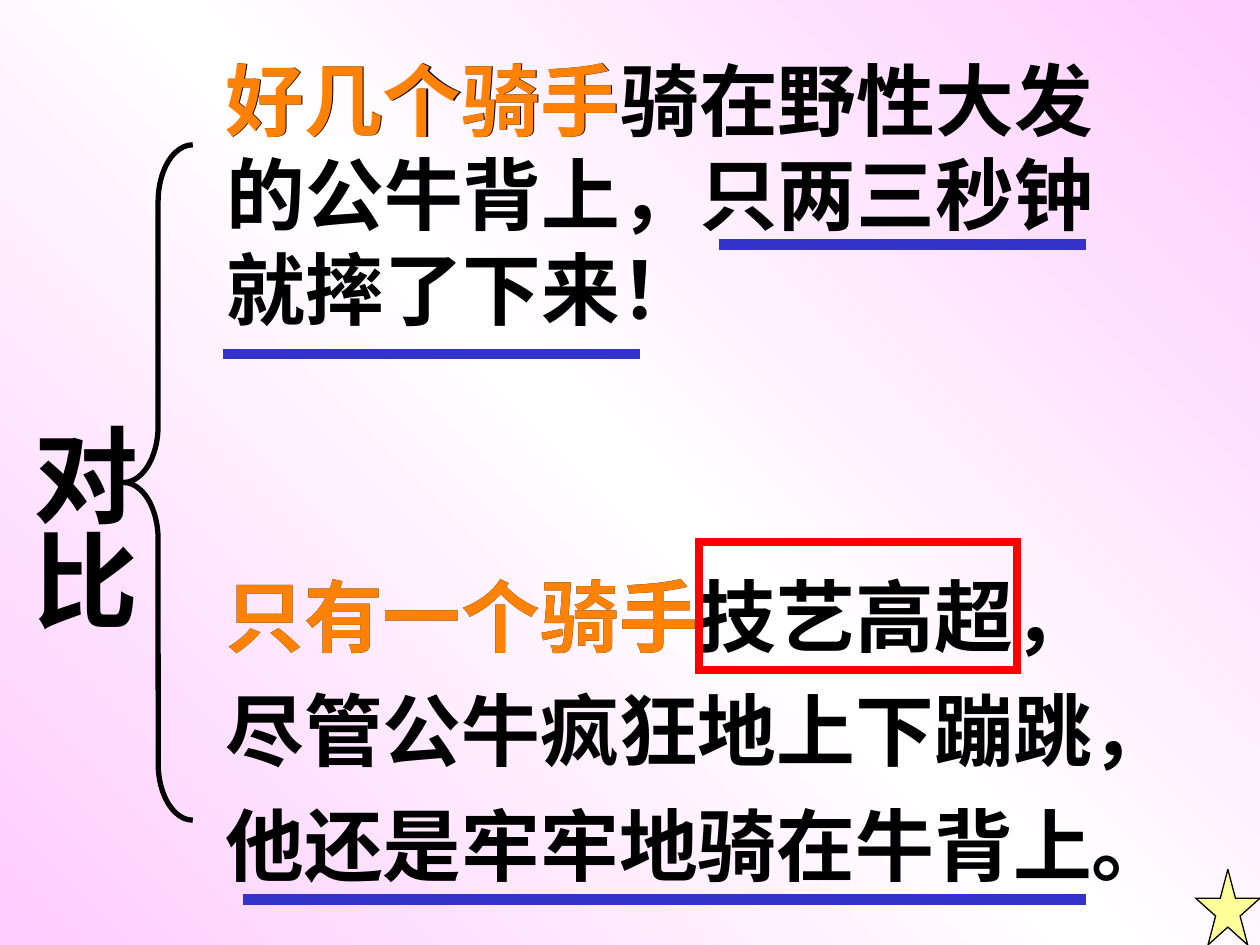
from copy import deepcopy

from lxml.etree import SubElement
from pptx import Presentation
from pptx.dml.color import RGBColor
from pptx.enum.shapes import MSO_CONNECTOR, MSO_SHAPE
from pptx.enum.text import MSO_ANCHOR
from pptx.oxml.ns import qn
from pptx.util import Inches, Pt

CJK_FONT = "Noto Sans CJK SC"
LATIN_FONT = "Times New Roman"
BLACK, ORANGE, BLUE, RED, YELLOW = "000000", "FF8205", "3333CC", "FF0000", "FFFF99"

BACKGROUND_STOPS = [(0, "FFCCFF"), (0.5, "FFFFFF"), (1, "FFCCFF")]
ONE_RIDER = ["只有一个骑手技艺高超，", "尽管公牛疯狂地上下蹦跳，", "他还是牢牢地骑在牛背上。"]
MANY_RIDERS = ["好几个骑手骑在野性大发", "的公牛背上，只两三秒钟", "就摔了下来！"]
PASSAGES = [
    (ONE_RIDER, (1.69, 4.46, 10, 4.5), CJK_FONT, BLACK, 11.2, True, MSO_ANCHOR.TOP),
    (MANY_RIDERS, (1.7, 0.36, 7.07, 2.35), CJK_FONT, BLACK, 0, False, MSO_ANCHOR.MIDDLE),
    (["好几个骑手"], (1.69, 0.36, 4.1, 0.85), LATIN_FONT, ORANGE, 0, True, MSO_ANCHOR.TOP),
    (["只有一个骑手"], (1.69, 4.46, 4.88, 0.85), LATIN_FONT, ORANGE, 0, True, MSO_ANCHOR.TOP),
]
UNDERLINES = [(5.71, 8.62, 1.94), (1.77, 5.08, 2.81), (1.93, 8.62, 7.14)]


def color(value):
    return RGBColor.from_string(value)


def fill_background(slide):
    fill = slide.background.fill
    fill.gradient()
    fill.gradient_angle = 225
    first_stop = slide.background._cSld.find(".//" + qn("a:gs"))
    first_stop.addnext(deepcopy(first_stop))
    for stop, (position, value) in zip(fill.gradient_stops, BACKGROUND_STOPS):
        stop.position = position
        stop.color.rgb = color(value)


def add_text(slide, lines, box, font_name, value, size=45, space=0, wrap=True,
             anchor=MSO_ANCHOR.TOP, insets=(0.1, 0.05, 0, 0.05)):
    shape = slide.shapes.add_textbox(*map(Inches, box))
    frame = shape.text_frame
    frame.word_wrap = wrap
    frame.vertical_anchor = anchor
    frame.margin_left, frame.margin_top, frame.margin_right, frame.margin_bottom = map(Inches, insets)
    for index, line in enumerate(lines):
        paragraph = frame.paragraphs[0] if index == 0 else frame.add_paragraph()
        paragraph.line_spacing = Pt(size * 1.2)
        paragraph.space_before = Pt(space if index else 0)
        run = paragraph.add_run()
        run.text = line
        run.font.size = Pt(size)
        run.font.bold = True
        run.font.color.rgb = color(value)
        run.font.name = font_name
        SubElement(run.font._element, qn("a:ea"), typeface=CJK_FONT)
    return shape


def add_outline(slide, kind, box, value, width, fill=None):
    shape = slide.shapes.add_shape(kind, *map(Inches, box))
    shape.shadow.inherit = False
    if fill:
        shape.fill.solid()
        shape.fill.fore_color.rgb = color(fill)
    else:
        shape.fill.background()
    shape.line.color.rgb = color(value)
    shape.line.width = Pt(width)
    SubElement(shape.line._get_or_add_ln(), qn("a:miter"), lim="800000")
    return shape


def add_underline(slide, left, right, top):
    line = slide.shapes.add_connector(
        MSO_CONNECTOR.STRAIGHT, Inches(left), Inches(top), Inches(right), Inches(top))
    line.line.color.rgb = color(BLUE)
    line.line.width = Pt(6)
    SubElement(line._element.spPr, qn("a:effectLst"))


def main():
    presentation = Presentation()
    presentation.slide_width, presentation.slide_height = Inches(10), Inches(7.5)
    slide = presentation.slides.add_slide(presentation.slide_layouts[6])
    fill_background(slide)

    brace = add_outline(slide, MSO_SHAPE.LEFT_BRACE, (0.98, 1.15, 0.55, 5.36), BLACK, 3)
    brace.adjustments[0] = 0.82
    brace.adjustments[1] = 0.5

    for lines, box, font_name, value, space, wrap, anchor in PASSAGES:
        add_text(slide, lines, box, font_name, value, space=space, wrap=wrap, anchor=anchor)
    for underline in UNDERLINES:
        add_underline(slide, *underline)
    add_outline(slide, MSO_SHAPE.RECTANGLE, (5.55, 4.3, 2.52, 1.02), RED, 4.5)

    contrast = add_text(slide, ["对比"], (0, 2.88, 1.2, 2.6), LATIN_FONT, BLACK, size=60,
                        insets=(0.05, 0.48, 0.05, 0.1))
    contrast.text_frame._txBody.bodyPr.set("vert", "eaVert")

    add_outline(slide, MSO_SHAPE.STAR_5_POINT, (9.49, 6.9, 0.51, 0.6), BLACK, 0.75, YELLOW)
    presentation.save("out.pptx")


if __name__ == "__main__":
    main()
